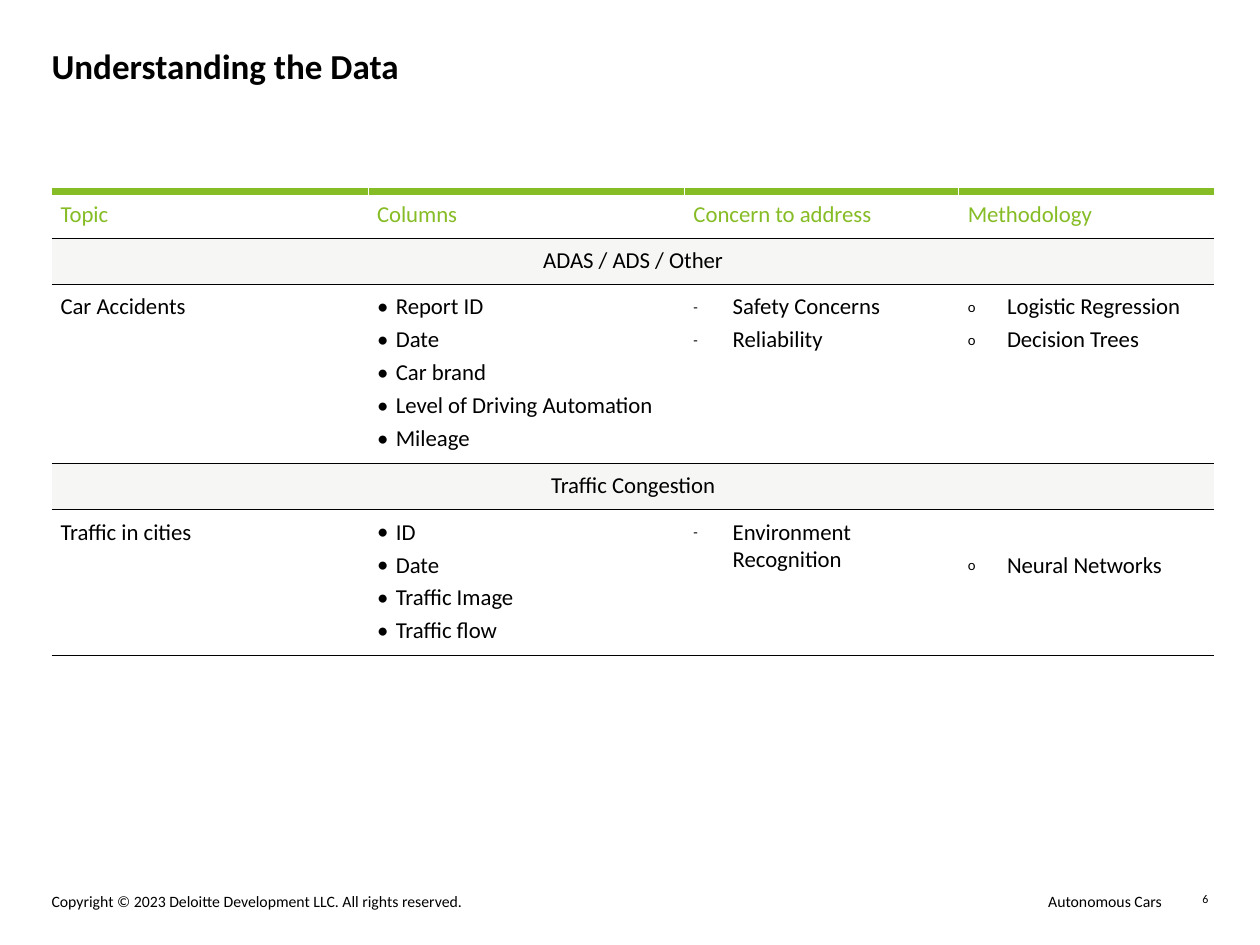
from dataclasses import dataclass

import pptx
import pptx.dml.color
import pptx.enum.text
import pptx.oxml
import pptx.oxml.ns
import pptx.slide
import pptx.table
import pptx.text.text
import pptx.util

Cm = pptx.util.Cm
Pt = pptx.util.Pt
ALIGN = pptx.enum.text.PP_ALIGN
ANCHOR = pptx.enum.text.MSO_ANCHOR

FONT = "Calibri"
BLACK, WHITE, GREEN, GREY = "000000", "FFFFFF", "86BC25", "F6F6F5"
PLAIN_TABLE_STYLE = "{2D5ABB26-0587-4C30-8999-92F81FD0307C}"
MARGIN = 0.18
LINE_PITCH = 0.67


@dataclass
class Bullet:
    character: str
    indent: float
    percent: int
    level: int = 0


@dataclass
class Footer:
    text: str
    left: float
    width: float
    size: float
    align: ALIGN


@dataclass
class Topic:
    section: str
    name: str
    lists: list[list[str]]
    skipped_lines: int = 0  # lines left free above the methodology


BULLETS = [Bullet("•", 0.38, 100, 1), Bullet("-", 0.79, 65), Bullet("o", 0.79, 65)]
HEADINGS = ["Topic", "Columns", "Concern to address", "Methodology"]
COLUMN_WIDTHS = [6.38, 6.38, 5.53, 5.15]
ROW_HEIGHTS = [0.94, 0.93, 3.61, 0.93, 2.94]
TOPICS = [
    Topic("ADAS / ADS / Other", "Car Accidents", [
        ["Report ID", "Date", "Car brand", "Level of Driving Automation", "Mileage"],
        ["Safety Concerns", "Reliability"],
        ["Logistic Regression", "Decision Trees"]]),
    Topic("Traffic Congestion", "Traffic in cities", [
        ["ID", "Date", "Traffic Image", "Traffic flow"],
        ["Environment Recognition"],
        ["Neural Networks"]], skipped_lines=1),
]
FOOTERS = [
    Footer("Autonomous Cars", 13.21, 10.21, 9, ALIGN.RIGHT),
    Footer("Copyright © 2023 Deloitte Development LLC. All rights reserved.",
           1.04, 11.15, 9, ALIGN.LEFT),
    Footer("6", 23.72, 0.64, 6.8, ALIGN.RIGHT),
]


def color(value: str) -> pptx.dml.color.RGBColor:
    return pptx.dml.color.RGBColor.from_string(value)


def set_attributes(target: object, values: dict) -> None:
    for name, value in values.items():
        setattr(target, name, value)


def set_margins(target: object, margin: float) -> None:
    sides = ("left", "top", "right", "bottom")
    set_attributes(target, {f"margin_{side}": Cm(margin) for side in sides})


def write(paragraph: pptx.text.text._Paragraph, text: str, size: float,
          text_color: str = BLACK, bold: bool = False,
          align: ALIGN = ALIGN.LEFT) -> None:
    paragraph.alignment = align
    run = paragraph.add_run()
    run.text = text
    set_attributes(run.font, {"name": FONT, "size": Pt(size), "bold": bold})
    run.font.color.rgb = color(text_color)


def add_bullet(paragraph: pptx.text.text._Paragraph, bullet: Bullet) -> None:
    paragraph.level = bullet.level
    properties = paragraph._p.get_or_add_pPr()
    indent = Cm(bullet.indent)
    properties.set("marL", str(indent))
    properties.set("indent", str(-indent))
    for tag, name, value in (("buSzPct", "val", str(bullet.percent * 1000)),
                             ("buFont", "typeface", FONT),
                             ("buChar", "char", bullet.character)):
        element = properties.makeelement(pptx.oxml.ns.qn(f"a:{tag}"), {name: value})
        properties.append(element)


def add_border(cell: pptx.table._Cell, side: str, line_color: str, width: float) -> None:
    cell._tc.get_or_add_tcPr().append(pptx.oxml.parse_xml(
        f'<a:ln{side} {pptx.oxml.ns.nsdecls("a")} w="{Pt(width)}">'
        f'<a:solidFill><a:srgbClr val="{line_color}"/></a:solidFill></a:ln{side}>'))


def format_cell(cell: pptx.table._Cell, row: int, column: int) -> None:
    set_margins(cell, MARGIN)
    is_header = row == 0
    cell.vertical_anchor = ANCHOR.MIDDLE if is_header else ANCHOR.TOP
    # White gaps between the headings, thin rules between the rows
    if is_header and column > 0:
        add_border(cell, "L", WHITE, 0.5)
    if is_header and column < len(HEADINGS) - 1:
        add_border(cell, "R", WHITE, 0.5)
    add_border(cell, "T", *((GREEN, 4.5) if is_header else (BLACK, 0.25)))
    add_border(cell, "B", BLACK, 0.25)
    if row % 2 == 1:
        cell.fill.solid()
        cell.fill.fore_color.rgb = color(GREY)
    else:
        cell.fill.background()


def fill_list(cell: pptx.table._Cell, items: list[str], bullet: Bullet) -> None:
    for index, item in enumerate(items):
        frame = cell.text_frame
        paragraph = frame.add_paragraph() if index else frame.paragraphs[0]
        add_bullet(paragraph, bullet)
        paragraph.space_before = Pt(3 if index else 0)
        write(paragraph, item, 13)


def add_topic_table(slide: pptx.slide.Slide) -> None:
    table = slide.shapes.add_table(
        len(ROW_HEIGHTS), len(COLUMN_WIDTHS), Cm(1.04), Cm(3.86),
        Cm(sum(COLUMN_WIDTHS)), Cm(sum(ROW_HEIGHTS))).table
    set_attributes(table, {"first_row": False, "horz_banding": False})
    table._tbl.tblPr.find(pptx.oxml.ns.qn("a:tableStyleId")).text = PLAIN_TABLE_STYLE
    for column, width in zip(table.columns, COLUMN_WIDTHS):
        column.width = Cm(width)
    for row, height in zip(table.rows, ROW_HEIGHTS):
        row.height = Cm(height)
    for row in range(len(ROW_HEIGHTS)):
        for column in range(len(COLUMN_WIDTHS)):
            format_cell(table.cell(row, column), row, column)

    for column, heading in enumerate(HEADINGS):
        write(table.cell(0, column).text_frame.paragraphs[0], heading, 13, GREEN)

    # Each topic takes a merged section row and a detail row
    for index, topic in enumerate(TOPICS):
        section_row = 1 + 2 * index
        detail_row = section_row + 1
        section = table.cell(section_row, 0)
        section.merge(table.cell(section_row, len(HEADINGS) - 1))
        write(section.text_frame.paragraphs[0], topic.section, 13, align=ALIGN.CENTER)
        write(table.cell(detail_row, 0).text_frame.paragraphs[0], topic.name, 13)
        for column, (items, bullet) in enumerate(zip(topic.lists, BULLETS), 1):
            fill_list(table.cell(detail_row, column), items, bullet)
        methodology = table.cell(detail_row, len(HEADINGS) - 1)
        methodology.margin_top = Cm(MARGIN + LINE_PITCH * topic.skipped_lines)


def add_title(slide: pptx.slide.Slide, text: str) -> None:
    title = slide.shapes.title
    set_attributes(title, {"left": Cm(1.04), "top": Cm(0.89),
                           "width": Cm(23.32), "height": Cm(0.94)})
    frame = title.text_frame
    set_margins(frame, 0)
    set_attributes(frame, {"vertical_anchor": ANCHOR.TOP, "word_wrap": True,
                           "auto_size": pptx.enum.text.MSO_AUTO_SIZE.NONE})
    write(frame.paragraphs[0], text, 20, bold=True)


def add_footer(slide: pptx.slide.Slide, footer: Footer) -> None:
    shape = slide.shapes.add_textbox(Cm(footer.left), Cm(17.98), Cm(footer.width), Cm(0.38))
    frame = shape.text_frame
    frame.word_wrap = True
    set_margins(frame, 0)
    write(frame.paragraphs[0], footer.text, footer.size, align=footer.align)


def main() -> None:
    presentation = pptx.Presentation()
    set_attributes(presentation, {"slide_width": Cm(25.4), "slide_height": Cm(19.05)})
    slide = presentation.slides.add_slide(presentation.slide_layouts[5])
    for footer in FOOTERS:
        add_footer(slide, footer)
    add_title(slide, "Understanding the Data")
    add_topic_table(slide)
    presentation.save("out.pptx")


if __name__ == "__main__":
    main()
